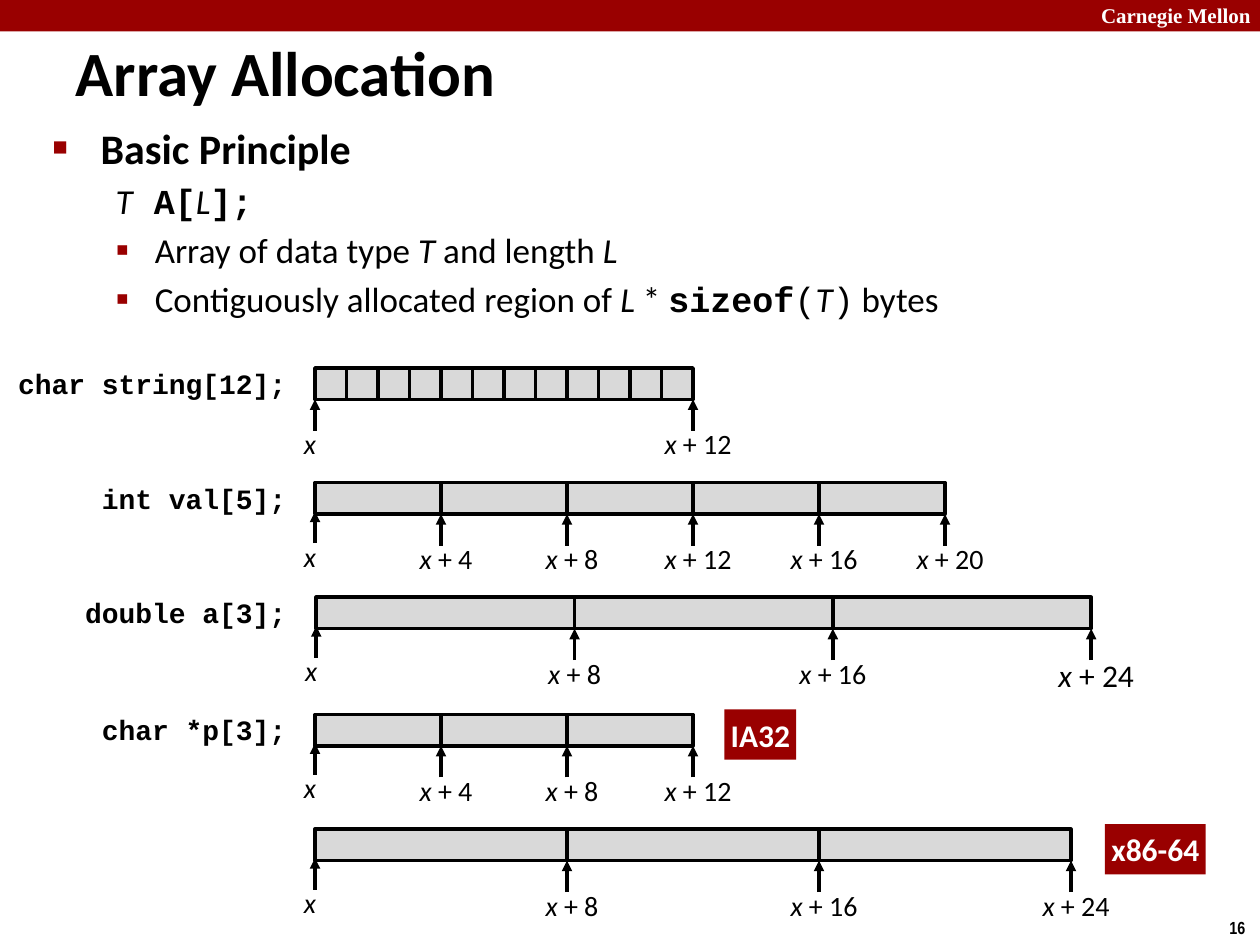
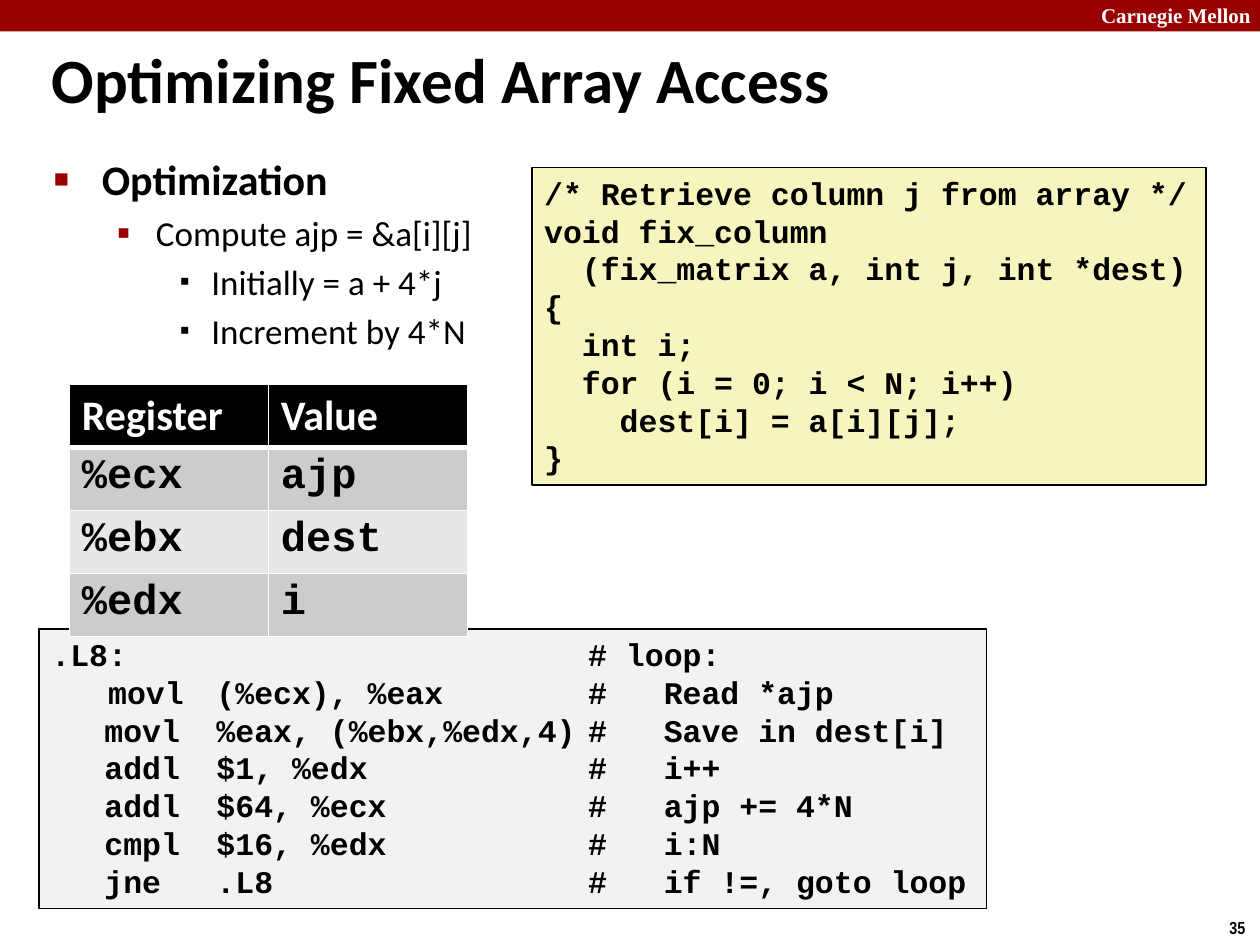
"""Build two slides on array allocation and fixed array access."""
from lxml import etree
from pptx import Presentation
from pptx.dml.color import RGBColor
from pptx.enum import shapes, text
from pptx.oxml import ns
from pptx.util import Inches, Pt

RED, BLACK, WHITE = "990000", "000000", "FFFFFF"
CELL_GRAY, ASM_GRAY, CODE_YELLOW = "D9D9D9", "F2F2F2", "F6F5BD"
BODY, CODE = "Calibri", "Courier New"
LEFT, CENTER, RIGHT = text.PP_ALIGN.LEFT, text.PP_ALIGN.CENTER, text.PP_ALIGN.RIGHT
LEVELS = {
    0: dict(size=24, left=0.38, hang=0.38, char="■", pct=60, color=RED),
    1: dict(size=20, left=0.81, hang=0.31, char="▪", pct=110, color=RED),
    2: dict(size=20, left=1.25, hang=0.25, char="▪", pct=80, color=BLACK),
}


def rgb(hex_color):
    """Turn a hex string into a colour."""
    return RGBColor.from_string(hex_color)


def sub(parent, tag, **attrs):
    """Append a DrawingML element and return it."""
    e = etree.SubElement(parent, ns.qn(tag))
    for name, value in attrs.items():
        e.set(name, str(value))
    return e


def add_run(p, words, size, font=BODY, color=BLACK, bold=False, italic=False):
    """Add one formatted run to a paragraph."""
    r = p.add_run()
    r.text = words
    r.font.size, r.font.name = Pt(size), font
    r.font.bold, r.font.italic = bold, italic
    r.font.color.rgb = rgb(color)


def next_paragraph(tf, first):
    """Return the first paragraph of a frame or a new one."""
    return tf.paragraphs[0] if first else tf.add_paragraph()


def add_text(s, box, runs, size, align=LEFT, wrap=True, **style):
    """Add a one-paragraph text box from (words, extra style) runs."""
    tf = s.shapes.add_textbox(*map(Inches, box)).text_frame
    tf.word_wrap = wrap
    p = tf.paragraphs[0]
    p.alignment = align
    for words, extra in runs:
        add_run(p, words, size, **{**style, **extra})
    return tf


def add_box(s, box, fill, line_width=0):
    """Add a flat rectangle, outlined in black if a width is given."""
    sp = s.shapes.add_shape(shapes.MSO_SHAPE.RECTANGLE, *map(Inches, box))
    sp.shadow.inherit = False
    sp.fill.solid()
    sp.fill.fore_color.rgb = rgb(fill)
    if line_width:
        sp.line.color.rgb = rgb(BLACK)
        sp.line.width = Pt(line_width)
    else:
        sp.line.fill.background()
    return sp


def add_up_arrow(s, x, tip):
    """Draw a short arrow that points up to the given height."""
    c = s.shapes.add_connector(shapes.MSO_CONNECTOR.STRAIGHT, Inches(x),
                               Inches(tip + 0.25), Inches(x), Inches(tip))
    c.line.color.rgb = rgb(BLACK)
    c.line.width = Pt(2)
    sub(c.line._get_or_add_ln(), "a:tailEnd", type="triangle")
    sub(c._element.spPr, "a:effectLst")


def add_slide(prs, title, left, top, width, number):
    """Add a slide with its red band, heading and page number."""
    s = prs.slides.add_slide(prs.slide_layouts[5])
    add_box(s, (0, 0, 10, 0.25), RED)
    add_text(s, (8.64, -0.03, 1.43, 0.3), [("Carnegie Mellon", {})], 12,
             font="Times New Roman", color=WHITE, bold=True)
    add_text(s, (9.66, 7.23, 0.34, 0.27), [(number, {})], 10, wrap=False,
             font="Arial Narrow", bold=True)
    sp = s.shapes.title
    sp.left, sp.top, sp.width, sp.height = map(Inches, (left, top, width, 0.63))
    tf = sp.text_frame
    tf.auto_size = text.MSO_AUTO_SIZE.NONE
    tf.vertical_anchor = text.MSO_ANCHOR.MIDDLE
    p = tf.paragraphs[0]
    p.alignment = LEFT
    add_run(p, title, 36, bold=True)
    return s


def add_bullets(s, box, items):
    """Add an outline of (level, has bullet, runs) items."""
    tf = s.shapes.add_textbox(*map(Inches, box)).text_frame
    tf.word_wrap = True
    for i, (level, has_bullet, runs) in enumerate(items):
        look = LEVELS[level]
        p = next_paragraph(tf, i == 0)
        p.level = level
        pPr = p._p.get_or_add_pPr()
        pPr.set("marL", str(Inches(look["left"])))
        pPr.set("indent", str(-Inches(look["hang"])))
        if has_bullet:
            sub(sub(pPr, "a:buClr"), "a:srgbClr", val=look["color"])
            sub(pPr, "a:buSzPct", val=look["pct"] * 1000)
            sub(pPr, "a:buFont", typeface="Arial")
            sub(pPr, "a:buChar", char=look["char"])
        if i:
            p.space_before = Pt(look["size"] * 0.2)
        for words, style in runs:
            add_run(p, words, look["size"], **style)


def add_code(s, box, fill, lines, tabs=()):
    """Add an outlined box of code lines with optional tab stops."""
    tf = add_box(s, box, fill, 1).text_frame
    tf.word_wrap = True
    tf.vertical_anchor = text.MSO_ANCHOR.TOP
    for i, line in enumerate(lines):
        p = next_paragraph(tf, i == 0)
        p.alignment = LEFT
        if tabs:
            stops = sub(p._p.get_or_add_pPr(), "a:tabLst")
            for at in tabs:
                sub(stops, "a:tab", pos=Inches(at), algn="l")
        add_run(p, line, 18, CODE, bold=True)


def add_array(s, declaration, top, count, cell, cell_bytes, left=2.5, every=1,
              shift=0.04, lift=0.02, last_size=16):
    """Draw an array as cells with byte offsets marked below."""
    if declaration:
        tf = add_text(s, (0.03, top - 0.06, 2.34, 0.37), [(declaration, {})], 16,
                      RIGHT, font=CODE, bold=True)
        tf.margin_left = 0
    for i in range(count):
        add_box(s, (left + i * cell, top, cell, 0.25), CELL_GRAY, 2)
    for i in range(0, count + 1, every):
        x = left + i * cell
        rise = 0 if i else lift
        add_up_arrow(s, x, top + 0.25 - rise)
        if i == 0:
            runs, center = [("x", {"italic": True})], x - 0.04
        else:
            runs = [("x ", {"italic": True}), (f"+ {i * cell_bytes}", {})]
            center = x + (0.04 if i == count else shift)
        add_text(s, (center - 0.54, top + 0.42 - rise, 1.08, 0.37), runs,
                 last_size if i == count else 16, CENTER)


def add_tag(s, box, name):
    """Add a red tag that names an architecture."""
    tf = add_box(s, box, RED).text_frame
    tf.margin_left = tf.margin_right = Inches(0.05)
    tf.word_wrap = False
    p = tf.paragraphs[0]
    p.alignment = CENTER
    add_run(p, name, 18, color=WHITE, bold=True)


def add_register_table(s, rows):
    """Add the table of registers and their values."""
    t = s.shapes.add_table(len(rows), 2, Inches(0.55), Inches(3.05),
                           Inches(3.16), Inches(1.64)).table
    for i, row in enumerate(rows):
        t.rows[i].height = Inches(0.41)
        fill = BLACK if i == 0 else ("CCCCCC" if i % 2 else "E7E7E7")
        for j, words in enumerate(row):
            c = t.cell(i, j)
            tcPr = c._tc.get_or_add_tcPr()
            for side in "LRTB":
                heavy = (i, side) in ((0, "B"), (1, "T"))
                ln = sub(tcPr, f"a:ln{side}", w=Pt(3 if heavy else 1))
                sub(sub(ln, "a:solidFill"), "a:srgbClr", val=WHITE)
            c.fill.solid()
            c.fill.fore_color.rgb = rgb(fill)
            add_run(c.text_frame.paragraphs[0], words, 24, CODE if i else BODY,
                    BLACK if i else WHITE, bold=True)


def build_allocation(prs):
    """Build the slide on array allocation."""
    s = add_slide(prs, "Array Allocation", 0.5, 0.25, 6.5, "16")
    it, bold = {"italic": True}, {"bold": True}
    code, code_bold = {"font": CODE}, {"font": CODE, "bold": True}
    add_bullets(s, (0.32, 0.92, 9.09, 1.77), [
        (0, True, [("Basic Principle", bold)]),
        (1, False, [("T", it), (" A[", code_bold), ("L", it), ("];", code_bold)]),
        (1, True, [("Array of data type ", {}), ("T", it), (" and length ", {}),
                   ("L", it)]),
        (1, True, [("Contiguously allocated region of ", {}), ("L", it), (" * ", {}),
                   ("sizeof", code_bold), ("(", code), ("T", it), (")", code),
                   (" bytes", {})]),
    ])
    add_array(s, "char string[12];", 2.92, 12, 0.25, 1, every=12, lift=0)
    add_array(s, "int val[5];", 3.83, 5, 1, 4)
    add_array(s, "double a[3];", 4.74, 3, 2.05, 8, left=2.51, shift=0, last_size=18)
    add_array(s, "char *p[3];", 5.67, 3, 1, 4)
    add_array(s, "", 6.58, 3, 2, 8)
    add_tag(s, (5.75, 5.63, 0.57, 0.4), "IA32")
    add_tag(s, (8.77, 6.54, 0.8, 0.4), "x86-64")


def build_optimizing(prs):
    """Build the slide on optimizing fixed array access."""
    s = add_slide(prs, "Optimizing Fixed Array Access", 0.31, 0.31, 6.94, "35")
    add_bullets(s, (0.33, 1.17, 4.5, 4.28), [
        (0, True, [("Optimization", {"bold": True})]),
        (1, True, [("Compute ajp = &a[i][j]", {})]),
        (2, True, [("Initially = a + 4*j", {})]),
        (2, True, [("Increment by 4*N", {})]),
    ])
    add_code(s, (4.22, 1.33, 5.35, 2.52), CODE_YELLOW, [
        "/* Retrieve column j from array */",
        "void fix_column",
        "  (fix_matrix a, int j, int *dest)",
        "{",
        "  int i;",
        "  for (i = 0; i < N; i++)",
        "    dest[i] = a[i][j];",
        "}",
    ])
    add_code(s, (0.31, 4.99, 7.52, 2.22), ASM_GRAY, [
        ".L8:\t\t# loop:",
        "   movl\t(%ecx), %eax\t#   Read *ajp",
        "\t  movl\t%eax, (%ebx,%edx,4)\t#   Save in dest[i]",
        "\t  addl\t$1, %edx\t#   i++",
        "\t  addl\t$64, %ecx\t#   ajp += 4*N",
        "\t  cmpl\t$16, %edx\t#   i:N",
        "\t  jne\t.L8\t#   if !=, goto loop",
    ], tabs=(0.12, 1.31, 4.26))
    add_register_table(s, [("Register", "Value"), ("%ecx", "ajp"),
                           ("%ebx", "dest"), ("%edx", "i")])


def main():
    """Build and save the presentation."""
    prs = Presentation()
    prs.slide_width, prs.slide_height = Inches(10), Inches(7.5)
    build_allocation(prs)
    build_optimizing(prs)
    prs.save("out.pptx")


if __name__ == "__main__":
    main()
